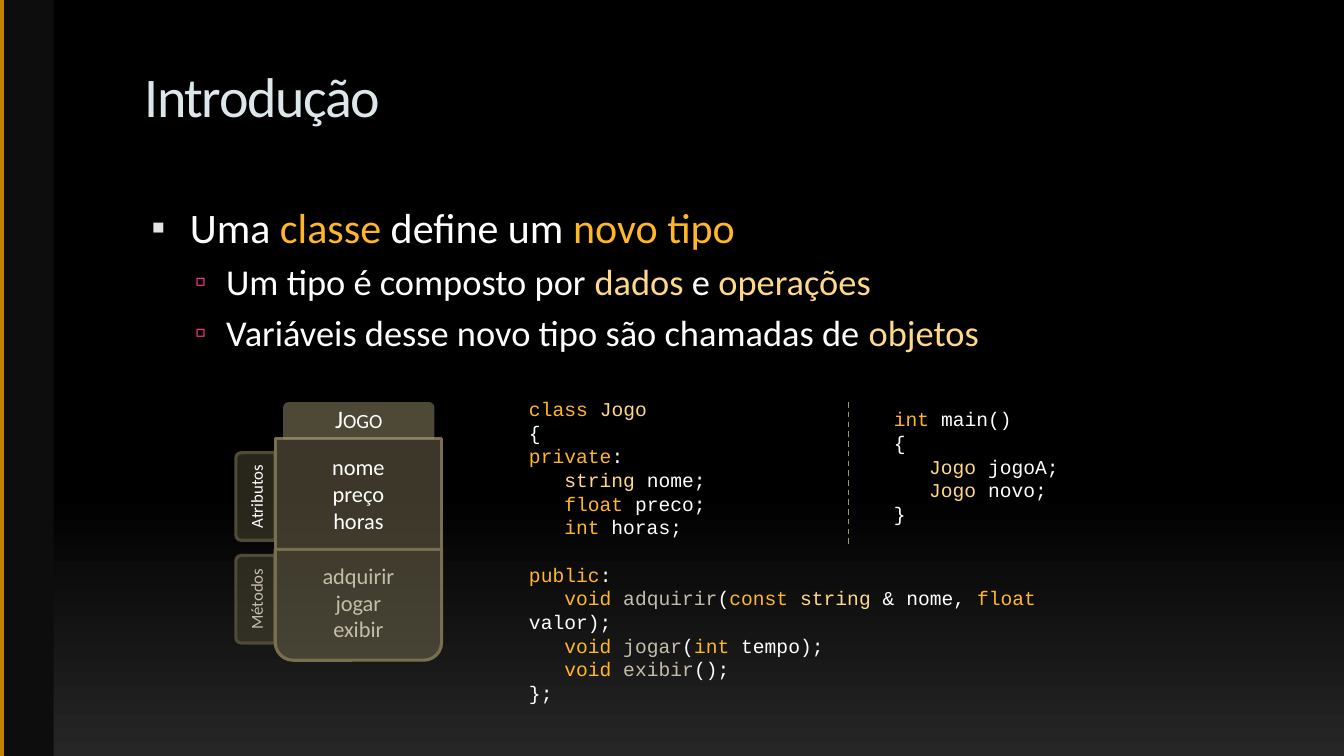
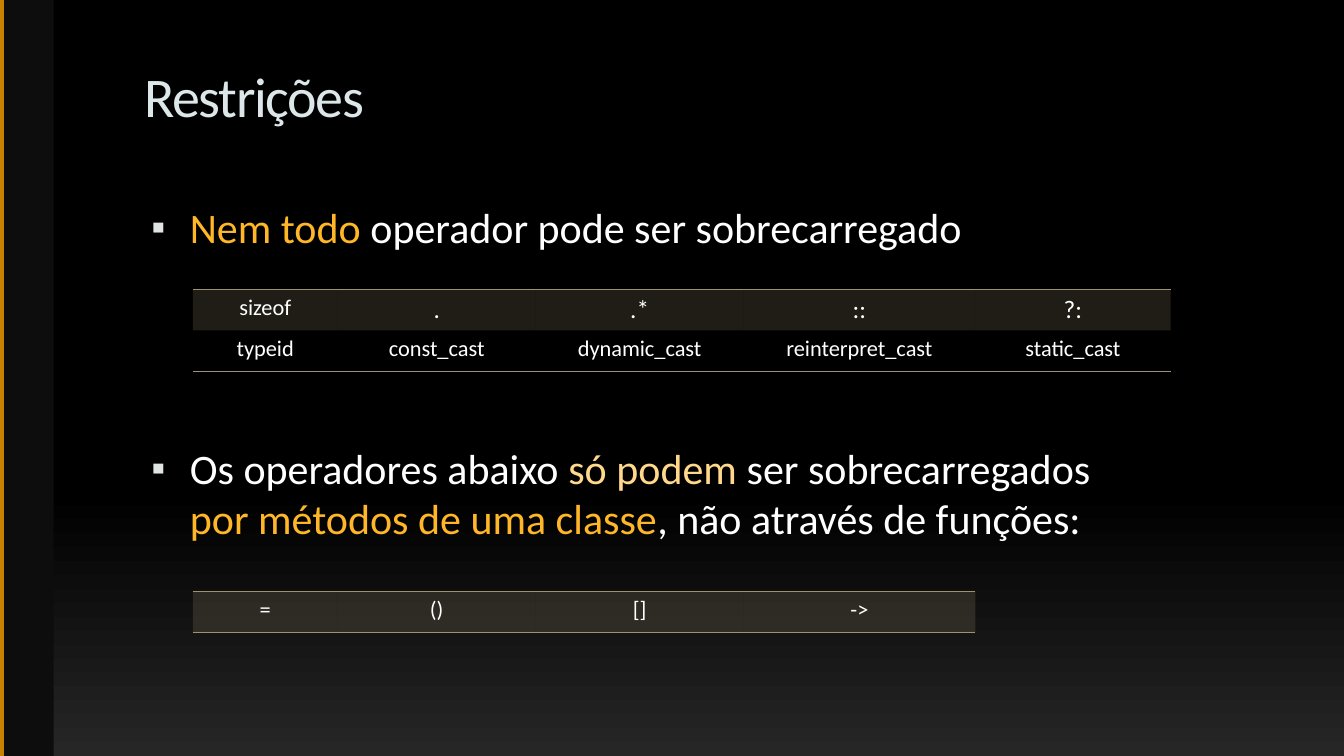
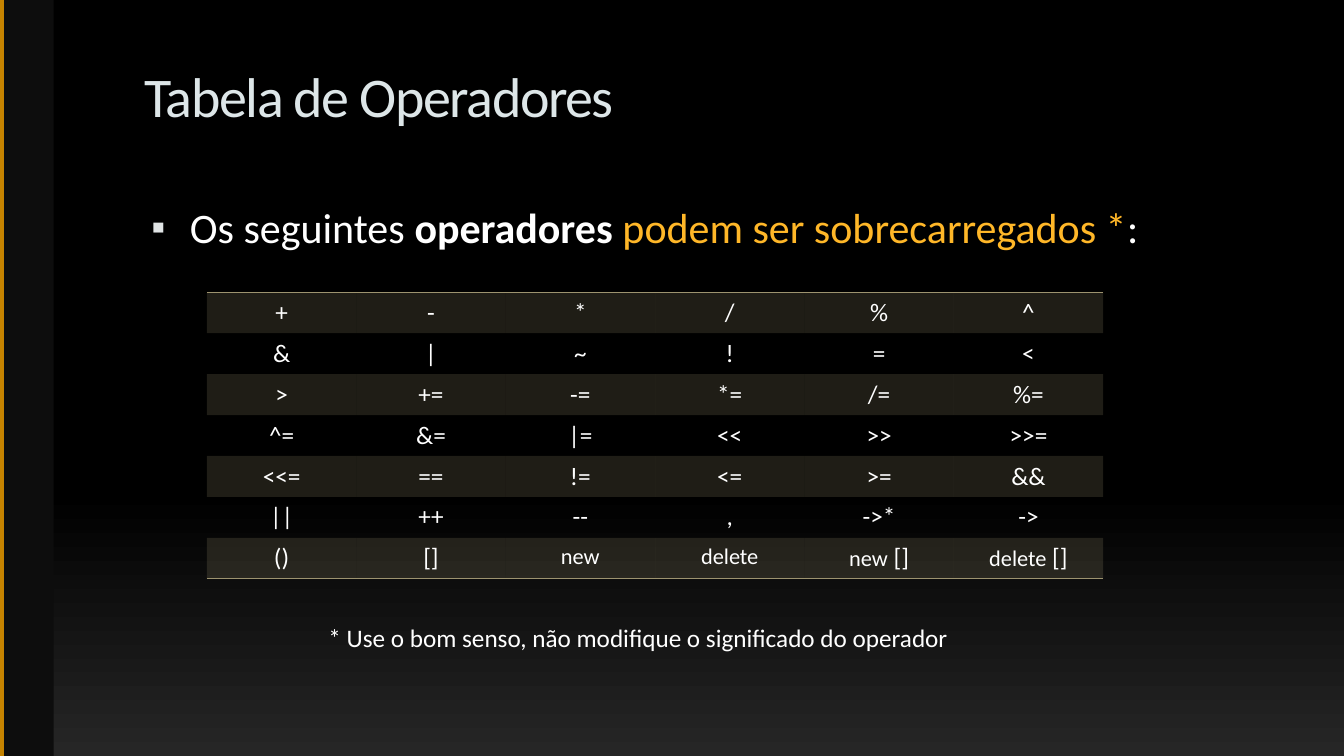
from copy import deepcopy
from dataclasses import dataclass

from lxml.etree import SubElement
from pptx import Presentation
from pptx.dml.color import RGBColor
from pptx.enum.dml import MSO_LINE
from pptx.enum.shapes import MSO_CONNECTOR, MSO_SHAPE
from pptx.enum.text import MSO_ANCHOR, MSO_AUTO_SIZE, PP_ALIGN
from pptx.oxml.ns import qn
from pptx.util import Pt


@dataclass(frozen=True)
class Theme:
    black: str = "000000"
    charcoal: str = "262626"
    band: str = "0D0D0D"
    edge: str = "C58300"
    title: str = "DDE6E8"
    white: str = "FFFFFF"
    gold: str = "FFB728"
    cream: str = "FFD88B"
    stone: str = "C4BEA9"
    khaki: str = "9D936F"
    olive: str = "786F51"
    moss: str = "504A36"
    square: str = "E0E4E5"
    pink: str = "F03288"
    font: str = "Calibri"
    code_font: str = "Courier New"
    title_size: float = 40
    body_size: float = 30
    sub_size: float = 26
    label_size: float = 18
    word_size: float = 16
    code_size: float = 14
    tab_size: float = 12
    code_pitch: float = 16.9


THEME = Theme()
WIDTH, HEIGHT = 960, 540
TITLE_BOX = (96, 40.3, 684.7, 72)
BODY_BOX = (96, 140.4, 815.8, 360)
ROW_HEIGHT = 29.25
CODE_INDENT = 25.2

LEVELS = (
    dict(size=THEME.body_size, before=7, left=32.4, indent=-27.4,
         bullet=("▪", THEME.square, 95)),
    dict(size=THEME.sub_size, before=5.2, left=58.3, indent=-22.3, level=1,
         bullet=("▫", THEME.pink, 90)),
)


def gold(text):
    return text, dict(color=THEME.gold)


def cream(text):
    return text, dict(color=THEME.cream)


def stone(text):
    return text, dict(color=THEME.stone)


INTRODUCTION = [
    (0, ["Uma ", gold("classe"), " define um ", gold("novo tipo")], {}),
    (1, ["Um tipo é composto por ", cream("dados"), " e ", cream("operações")], {}),
    (1, ["Variáveis desse novo tipo são chamadas de ", cream("objetos")], {}),
]
RESTRICTIONS = [
    (0, [gold("Nem todo"), " operador pode ser sobrecarregado"], {}),
    (0, ["Os operadores abaixo ", cream("só podem "), "ser sobrecarregados", "\n",
         gold("por métodos de uma classe"), ", não através de funções:"],
     dict(before=136)),
]
OVERLOADABLE = [
    (0, ["Os seguintes ", ("operadores ", dict(bold=True)),
         gold("podem ser sobrecarregados *"), ":"], {}),
]

INDENTED = dict(indent=CODE_INDENT)
CLASS_CODE = [
    ([gold("class "), cream("Jogo")], {}),
    (["{"], {}),
    ([gold("private"), ":"], {}),
    ([cream("string"), " nome;"], INDENTED),
    ([gold("float"), " preco;"], INDENTED),
    ([gold("int"), " horas;"], INDENTED),
    ([gold("public"), ":"], dict(before=THEME.code_pitch)),
    ([gold("void "), stone("adquirir"), "(", gold("const "), cream("string "),
      "& nome, ", gold("float"), " valor);"], INDENTED),
    ([gold("void "), stone("jogar"), "(", gold("int"), " tempo);"], INDENTED),
    ([gold("void "), stone("exibir"), "();"], INDENTED),
    (["};"], {}),
]
MAIN_CODE = [
    ([gold("int "), "main()"], {}),
    (["{"], {}),
    ([cream("Jogo"), " jogoA;"], INDENTED),
    ([cream("Jogo"), " novo;"], INDENTED),
    (["}"], {}),
]
CODE_BOXES = [
    (CLASS_CODE, (370.8, 280, 417.6, 211)),
    (MAIN_CODE, (631.4, 287.3, 166.3, 92.2)),
]

TAB = dict(size=THEME.tab_size, fill=THEME.moss, line=THEME.moss,
           corners=(0.136, 0), rotation=270)
COMPARTMENT = dict(size=THEME.word_size, fill=THEME.olive, line=THEME.olive)
CLASS_DIAGRAM = [
    (["Atributos"], (151.2, 340.6, 62.6, 28), TAB),
    (["Métodos"], (151.2, 414, 62.6, 28), dict(TAB, color=THEME.stone)),
    (["nome", "preço", "horas"], (196.6, 313.2, 118.8, 79.2),
     dict(COMPARTMENT, corners=(0, 0))),
    (["adquirir", "jogar", "exibir"], (196.6, 392.4, 118.8, 79.2),
     dict(COMPARTMENT, corners=(0, 0.16), color=THEME.stone)),
    (["Jogo"], (202.3, 287.3, 108, 26.6),
     dict(size=THEME.label_size, fill=THEME.khaki, corners=(0.136, 0),
          anchor=MSO_ANCHOR.TOP, small_caps=True)),
]

FORBIDDEN = [
    ["sizeof", ".", ".*", "::", "?:"],
    ["typeid", "const_cast", "dynamic_cast", "reinterpret_cast", "static_cast"],
]
FORBIDDEN_WIDTHS = [103.5, 141.5, 148.5, 165.5, 139.5]
METHODS_ONLY = [["=", "()", "[]", "->"]]
OPERATORS = [
    ["+", "-", "*", "/", "%", "^"],
    ["&", "|", "~", "!", "=", "<"],
    [">", "+=", "-=", "*=", "/=", "%="],
    ["^=", "&=", "|=", "<<", ">>", ">>="],
    ["<<=", "==", "!=", "<=", ">=", "&&"],
    ["||", "++", "--", ",", "->*", "->"],
    ["()", "[]", "new", "delete", "new []", "delete []"],
]
NOTE = "* Use o bom senso, não modifique o significado do operador"


def rgb(color):
    return RGBColor.from_string(color)


def points(box):
    return [Pt(length) for length in box]


def write(paragraph, runs, size=THEME.label_size, font=THEME.font, color=THEME.white,
          bold=False, align=PP_ALIGN.LEFT, before=0, pitch=None, left=0, indent=0,
          level=0, bullet=None, small_caps=False, tracking=None):
    paragraph.level = level
    paragraph.alignment = align
    paragraph.space_before = Pt(before)
    if pitch:
        paragraph.line_spacing = Pt(pitch)
    properties = paragraph._p.get_or_add_pPr()
    properties.set("marL", str(Pt(left)))
    properties.set("indent", str(Pt(indent)))
    if bullet:
        symbol, bullet_color, percent = bullet
        SubElement(SubElement(properties, qn("a:buClr")), qn("a:srgbClr"), val=bullet_color)
        SubElement(properties, qn("a:buSzPct"), val=str(percent * 1000))
        SubElement(properties, qn("a:buChar"), char=symbol)
    for item in runs:
        if item == "\n":
            paragraph.add_line_break()
            continue
        text, changes = (item, {}) if isinstance(item, str) else item
        run = paragraph.add_run()
        run.text = text
        run.font.name = font
        run.font.size = Pt(changes.get("size", size))
        run.font.bold = changes.get("bold", bold)
        run.font.color.rgb = rgb(changes.get("color", color))
        run_properties = run._r.get_or_add_rPr()
        if small_caps:
            run_properties.set("cap", "small")
        if tracking:
            run_properties.set("spc", str(tracking))


def fill_frame(frame, paragraphs, anchor=MSO_ANCHOR.TOP, inset=None, **style):
    frame.word_wrap = True
    frame.auto_size = MSO_AUTO_SIZE.NONE
    frame.vertical_anchor = anchor
    if inset is not None:
        frame.margin_left = frame.margin_right = Pt(inset)
        frame.margin_top = frame.margin_bottom = Pt(inset)
    for index, (runs, changes) in enumerate(paragraphs):
        paragraph = frame.add_paragraph() if index else frame.paragraphs[0]
        write(paragraph, runs, **{**style, **changes})


def paint(fill, properties, color, opacity=100):
    fill.solid()
    fill.fore_color.rgb = rgb(color)
    if opacity < 100:
        color_element = properties.find(qn("a:solidFill"))[0]
        SubElement(color_element, qn("a:alpha"), val=str(opacity * 1000))


def add_line(slide, x, top, bottom, color, width, dash=None):
    line = slide.shapes.add_connector(MSO_CONNECTOR.STRAIGHT, *points((x, top, x, bottom)))
    line.line.color.rgb = rgb(color)
    line.line.width = Pt(width)
    if dash:
        line.line.dash_style = dash
    SubElement(line.element.spPr, qn("a:effectLst"))
    return line


def add_text(slide, paragraphs, box, **style):
    fill_frame(slide.shapes.add_textbox(*points(box)).text_frame, paragraphs, **style)


def add_block(slide, lines, box, fill, corners, line=None, rotation=0,
              anchor=MSO_ANCHOR.MIDDLE, **style):
    block = slide.shapes.add_shape(MSO_SHAPE.ROUND_2_SAME_RECTANGLE, *points(box))
    block.shadow.inherit = False
    block.adjustments[0], block.adjustments[1] = corners
    block.rotation = rotation
    paint(block.fill, block.element.spPr, fill, 50)
    if line:
        block.line.color.rgb = rgb(line)
        block.line.width = Pt(2.25)
    else:
        block.line.fill.background()
    fill_frame(block.text_frame, [([text], {}) for text in lines], anchor=anchor,
               inset=0, align=PP_ALIGN.CENTER, **style)


def add_border(properties, side):
    border = SubElement(properties, qn(f"a:ln{side}"), w=str(Pt(1)))
    SubElement(SubElement(border, qn("a:solidFill")), qn("a:srgbClr"), val=THEME.khaki)
    properties.insert(0, border)


def add_grid(slide, rows, left, top, widths, symbol_size=THEME.label_size):
    frame = slide.shapes.add_table(
        len(rows), len(widths),
        *points((left, top, sum(widths), ROW_HEIGHT * len(rows))))
    table = frame.table
    table.first_row = table.horz_banding = False
    style_id = next(frame.element.iter(qn("a:tableStyleId")))
    style_id.text = "{2D5ABB26-0587-4C30-8999-92F81FD0307C}"
    for column, width in zip(table.columns, widths):
        column.width = Pt(width)
    for row_index, row in enumerate(rows):
        table.rows[row_index].height = Pt(ROW_HEIGHT)
        for column_index, text in enumerate(row):
            cell = table.cell(row_index, column_index)
            word, gap, symbol = text.partition(" ")
            word_size = THEME.word_size if word[0].isalpha() else symbol_size
            runs = [(word, dict(size=word_size))]
            if symbol:
                runs.append((gap + symbol, dict(size=symbol_size)))
            write(cell.text_frame.paragraphs[0], runs, align=PP_ALIGN.CENTER)
            properties = cell._tc.get_or_add_tcPr()
            if row_index % 2:
                cell.fill.background()
            else:
                paint(cell.fill, properties, THEME.khaki, 20)
            if row_index == len(rows) - 1:
                add_border(properties, "B")
            if row_index == 0:
                add_border(properties, "T")


def design_background(master):
    fill = master.background.fill
    fill.gradient()
    fill.gradient_angle = 270
    first, last = fill.gradient_stops
    first.color.rgb, first.position = rgb(THEME.black), 0
    last.color.rgb, last.position = rgb(THEME.charcoal), 1
    stops = next(master.element.iter(qn("a:gsLst")))
    middle = deepcopy(stops[0])
    middle.set("pos", "65000")
    stops.insert(1, middle)


def move_frame_to_layout(slide, layout):
    band = slide.shapes.add_shape(MSO_SHAPE.RECTANGLE, *points((0, 0, 38.4, HEIGHT)))
    band.shadow.inherit = False
    paint(band.fill, band.element.spPr, THEME.band)
    band.line.fill.background()
    edge = add_line(slide, 1.5, 0, HEIGHT, THEME.edge, 3)
    for number, shape in enumerate((band, edge), 20):
        next(shape.element.iter(qn("p:cNvPr"))).set("id", str(number))
        layout.shapes.element.append(shape.element)


def add_slide(presentation, title, bullets):
    slide = presentation.slides.add_slide(presentation.slide_layouts[1])
    for placeholder, box in zip(slide.placeholders, (TITLE_BOX, BODY_BOX)):
        (placeholder.left, placeholder.top,
         placeholder.width, placeholder.height) = points(box)
    fill_frame(slide.shapes.title.text_frame, [([title], {})], size=THEME.title_size,
               color=THEME.title, tracking=-100)
    fill_frame(slide.placeholders[1].text_frame,
               [(runs, {**LEVELS[level], **changes}) for level, runs, changes in bullets])
    return slide


def main():
    presentation = Presentation()
    presentation.slide_width, presentation.slide_height = Pt(WIDTH), Pt(HEIGHT)
    design_background(presentation.slide_master)

    introduction = add_slide(presentation, "Introdução", INTRODUCTION)
    move_frame_to_layout(introduction, presentation.slide_layouts[1])
    for lines, box, style in CLASS_DIAGRAM:
        add_block(introduction, lines, box, **style)
    for code, box in CODE_BOXES:
        add_text(introduction, code, box, size=THEME.code_size, font=THEME.code_font,
                 pitch=THEME.code_pitch)
    add_line(introduction, 606.2, 287.3, 391, THEME.khaki, 1, MSO_LINE.DASH)

    restrictions = add_slide(presentation, "Restrições", RESTRICTIONS)
    add_grid(restrictions, FORBIDDEN, 137.7, 206.8, FORBIDDEN_WIDTHS)
    add_grid(restrictions, METHODS_ONLY, 137.7, 422.4, FORBIDDEN_WIDTHS[:4],
             symbol_size=THEME.word_size)

    operators = add_slide(presentation, "Tabela de Operadores", OVERLOADABLE)
    add_grid(operators, OPERATORS, 147.8, 208.8, [106.7] * 6)
    add_text(operators, [([NOTE], {})], (227.5, 441, 480, 29))

    presentation.save("out.pptx")


if __name__ == "__main__":
    main()
